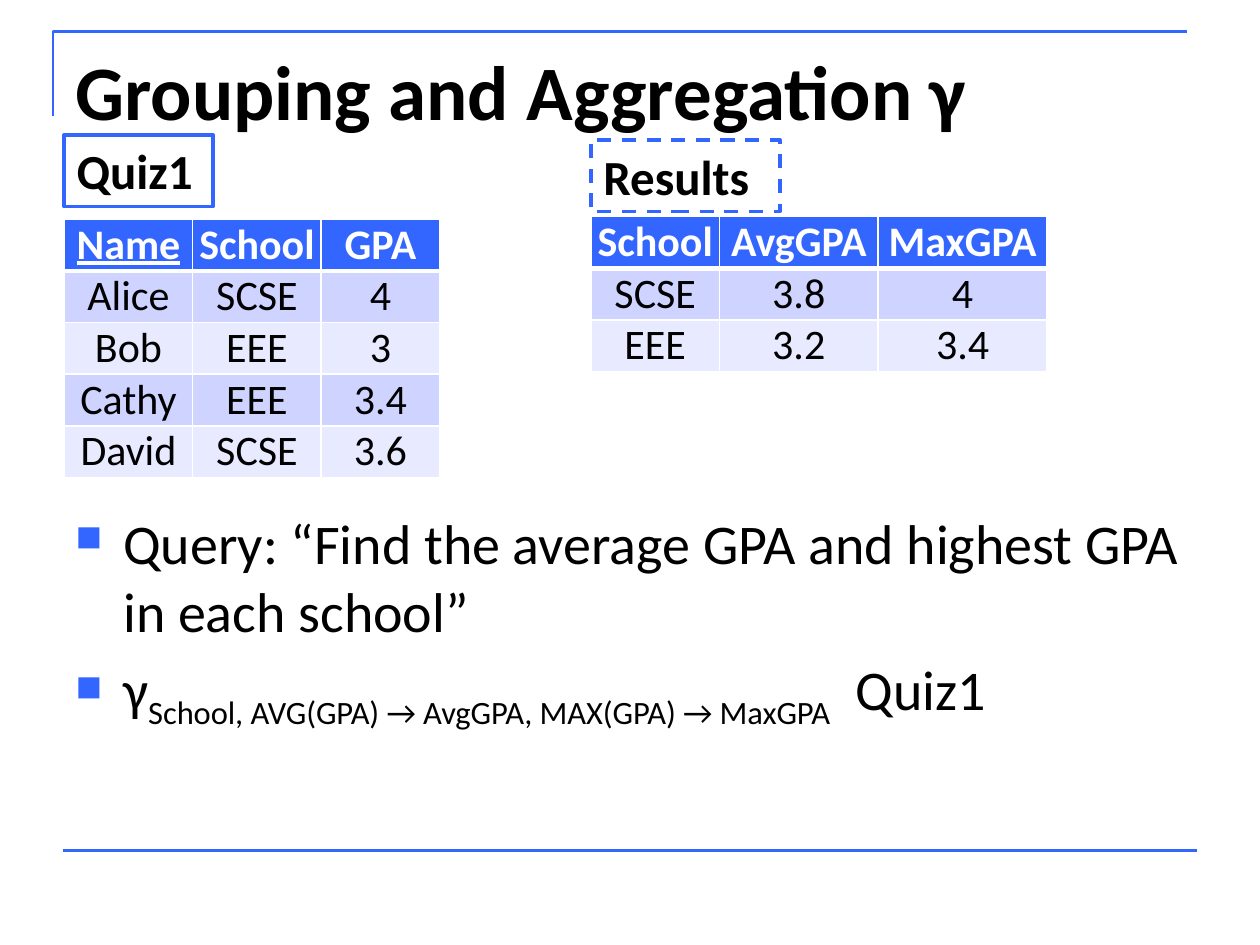
from dataclasses import dataclass

from lxml import etree
from pptx import Presentation
from pptx.dml.color import RGBColor
from pptx.enum.dml import MSO_LINE
from pptx.enum.shapes import MSO_CONNECTOR, MSO_SHAPE
from pptx.enum.text import MSO_ANCHOR, PP_ALIGN
from pptx.oxml.ns import qn
from pptx.util import Inches, Pt


@dataclass(frozen=True)
class Theme:
    font: str = "Calibri"
    accent: str = "3366FF"
    ink: str = "000000"
    white: str = "FFFFFF"
    bands: tuple = ("CED3FF", "E8EAFF")
    title: int = 44
    body: int = 32
    label: int = 28
    cell: int = 24
    rule: float = 1.5


THEME = Theme()


def rgb(value):
    return RGBColor.from_string(value)


def add_run(paragraph, text, size, color=THEME.ink, bold=False, underline=False):
    run = paragraph.add_run()
    run.text = text
    font = run.font
    font.name, font.size, font.bold = THEME.font, Pt(size), bold
    font.underline = underline
    font.color.rgb = rgb(color)
    return run


def style_line(line, width):
    line.color.rgb = rgb(THEME.accent)
    line.width = Pt(width)


def add_corner(slide):
    builder = slide.shapes.build_freeform(Inches(0.42), Inches(0.92))
    builder.add_line_segments(
        [(Inches(0.42), Inches(0.25)), (Inches(9.42), Inches(0.25))], close=False)
    corner = builder.convert_to_shape()
    corner.shadow.inherit = False
    corner.fill.background()
    style_line(corner.line, THEME.rule)


def add_rule(slide, left, right, y):
    rule = slide.shapes.add_connector(
        MSO_CONNECTOR.STRAIGHT, Inches(left), Inches(y), Inches(right), Inches(y))
    style_line(rule.line, THEME.rule)
    etree.SubElement(rule._element.spPr, qn("a:effectLst"))


def add_text(slide, left, top, width, height):
    box = slide.shapes.add_textbox(
        Inches(left), Inches(top), Inches(width), Inches(height))
    box.text_frame.word_wrap = True
    return box.text_frame


def add_bullet(paragraph):
    paragraph.space_before = Pt(THEME.body * 0.2)
    props = paragraph._p.get_or_add_pPr()
    props.set("marL", str(Inches(0.38)))
    props.set("indent", str(-Inches(0.38)))
    color = etree.SubElement(props, qn("a:buClr"))
    etree.SubElement(color, qn("a:srgbClr"), val=THEME.accent)
    etree.SubElement(props, qn("a:buSzPct"), val="65000")
    etree.SubElement(props, qn("a:buChar"), char="■")


def add_query(slide):
    frame = add_text(slide, 0.5, 3.99, 9, 2.72)
    question = frame.paragraphs[0]
    add_bullet(question)
    add_run(question, "Query: “Find the average GPA and highest GPA in each school”",
            THEME.body)
    formula = frame.add_paragraph()
    add_bullet(formula)
    add_run(formula, "γ", THEME.body)
    grouping = add_run(formula, "School, AVG(GPA) → AvgGPA, MAX(GPA) → MaxGPA", THEME.body)
    grouping.font._element.set("baseline", "-25000")
    gap = add_run(formula, " ", THEME.body)
    gap.font._element.set("spc", "720")
    add_run(formula, "Quiz1", THEME.body)


def add_label(slide, text, left, top, width, dash=None):
    label = slide.shapes.add_shape(
        MSO_SHAPE.RECTANGLE, Inches(left), Inches(top), Inches(width), Inches(0.57))
    label.shadow.inherit = False
    label.fill.background()
    style_line(label.line, 2)
    if dash:
        label.line.dash_style = dash
    frame = label.text_frame
    frame.word_wrap = False
    frame.vertical_anchor = MSO_ANCHOR.TOP
    frame.paragraphs[0].alignment = PP_ALIGN.LEFT
    add_run(frame.paragraphs[0], text, THEME.label, bold=True)


def set_borders(cell, widths):
    props = cell._tc.get_or_add_tcPr()
    for index, (side, width) in enumerate(widths.items()):
        border = etree.Element(qn("a:ln" + side), w=str(Pt(width)))
        fill = etree.SubElement(border, qn("a:solidFill"))
        etree.SubElement(fill, qn("a:srgbClr"), val=THEME.white)
        props.insert(index, border)


def fill_cell(cell, text, row, underline):
    header = row == 0
    cell.margin_left = cell.margin_right = cell.margin_top = cell.margin_bottom = 0
    paragraph = cell.text_frame.paragraphs[0]
    paragraph.alignment = PP_ALIGN.CENTER
    add_run(paragraph, text, THEME.cell, THEME.white if header else THEME.ink,
            header, underline)
    cell.fill.solid()
    cell.fill.fore_color.rgb = rgb(THEME.accent if header else THEME.bands[(row - 1) % 2])
    set_borders(cell, {"L": 1, "R": 1, "T": 3 if row == 1 else 1, "B": 3 if header else 1})


def add_relation(slide, left, top, widths, rows, key=None):
    row_height = 0.41
    table = slide.shapes.add_table(
        len(rows), len(widths), Inches(left), Inches(top),
        Inches(sum(widths)), Inches(row_height * len(rows))).table
    for column, width in zip(table.columns, widths):
        column.width = Inches(width)
    for r, values in enumerate(rows):
        table.rows[r].height = Inches(row_height)
        for c, text in enumerate(values):
            fill_cell(table.cell(r, c), text, r, r == 0 and text == key)


def main():
    """Build the grouping and aggregation slide."""
    deck = Presentation()
    deck.slide_width, deck.slide_height = Inches(10), Inches(7.5)
    slide = deck.slides.add_slide(deck.slide_layouts[6])
    add_corner(slide)
    add_rule(slide, 0.5, 9.5, 6.75)
    title = add_text(slide, 0.5, 0.3, 9, 1.25)
    add_run(title.paragraphs[0], "Grouping and Aggregation γ", THEME.title, bold=True)
    add_query(slide)
    add_relation(slide, 0.51, 1.74, (1.02, 1.02, 0.94), [
        ("Name", "School", "GPA"),
        ("Alice", "SCSE", "4"),
        ("Bob", "EEE", "3"),
        ("Cathy", "EEE", "3.4"),
        ("David", "SCSE", "3.6"),
    ], key="Name")
    add_label(slide, "Quiz1", 0.51, 1.07, 1.18)
    add_label(slide, "Results", 4.69, 1.11, 1.5, MSO_LINE.DASH)
    add_relation(slide, 4.69, 1.72, (1.02, 1.26, 1.34), [
        ("School", "AvgGPA", "MaxGPA"),
        ("SCSE", "3.8", "4"),
        ("EEE", "3.2", "3.4"),
    ])
    deck.save("out.pptx")


main()
